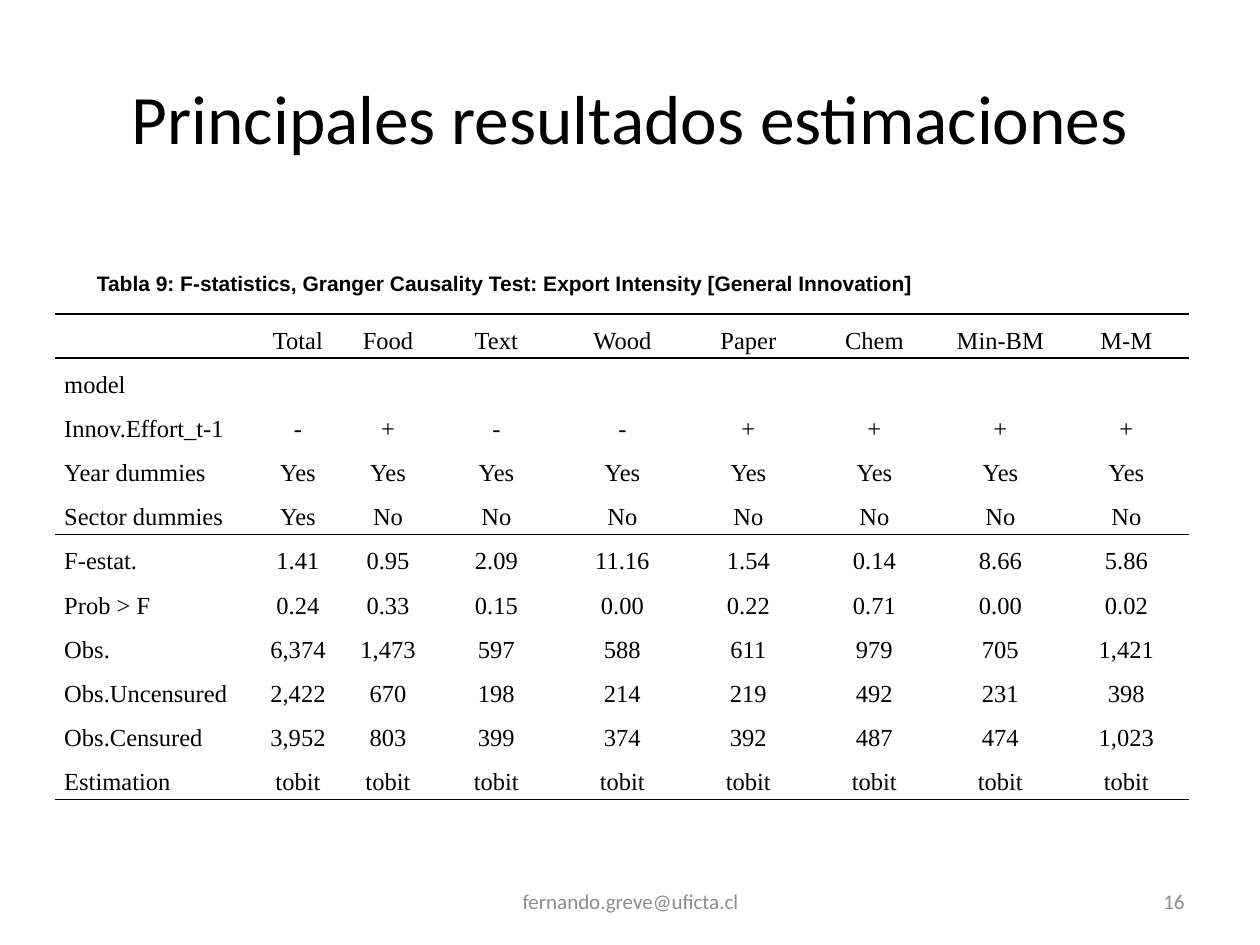
from dataclasses import dataclass

from lxml.etree import SubElement
from pptx import Presentation
from pptx.dml.color import RGBColor
from pptx.enum.text import MSO_ANCHOR as Anchor, MSO_AUTO_SIZE as AutoSize, PP_ALIGN as Align
from pptx.oxml.ns import qn
from pptx.util import Inches, Pt


@dataclass(frozen=True)
class Theme:
    ink: str = "000000"
    muted: str = "8C8C8C"
    heading_font: str = "Calibri"
    caption_font: str = "Arial"
    table_font: str = "Times New Roman"
    title_size: float = 39.6
    table_size: float = 14
    small_size: float = 12
    rule_width: float = 1


@dataclass(frozen=True)
class Label:
    text: str
    box: tuple[float, float, float, float]
    font: str
    color: str
    align: Align
    bold: bool = False
    wrap: bool = True


THEME = Theme()

LABELS = [
    Label("Tabla 9: F-statistics, Granger Causality Test: Export Intensity [General Innovation]",
          (0.67, 2.1, 6.75, 0.3), THEME.caption_font, THEME.ink, Align.JUSTIFY,
          bold=True, wrap=False),
    Label("16", (7.17, 6.95, 2.33, 0.4), THEME.heading_font, THEME.muted, Align.RIGHT),
    Label("fernando.greve@uficta.cl", (3.42, 6.95, 3.17, 0.4), THEME.heading_font,
          THEME.muted, Align.CENTER),
]

TABLE_BOX = (0.44, 2.49, 9, 3.85)
COLUMN_WIDTHS = [1.57, 0.71, 0.72] + [1] * 6
SECTORS = 8
ROWS = [
    ["", "Total", "Food", "Text", "Wood", "Paper", "Chem", "Min-BM", "M-M"],
    ["model"] + [""] * SECTORS,
    ["Innov.Effort_t-1", "-", "+", "-", "-", "+", "+", "+", "+"],
    ["Year dummies"] + ["Yes"] * SECTORS,
    ["Sector dummies", "Yes"] + ["No"] * (SECTORS - 1),
    ["F-estat.", "1.41", "0.95", "2.09", "11.16", "1.54", "0.14", "8.66", "5.86"],
    ["Prob > F", "0.24", "0.33", "0.15", "0.00", "0.22", "0.71", "0.00", "0.02"],
    ["Obs.", "6,374", "1,473", "597", "588", "611", "979", "705", "1,421"],
    ["Obs.Uncensured", "2,422", "670", "198", "214", "219", "492", "231", "398"],
    ["Obs.Censured", "3,952", "803", "399", "374", "392", "487", "474", "1,023"],
    ["Estimation"] + ["tobit"] * SECTORS,
]
# Rules lie above these row numbers; the last one closes the table
RULES = {0, 1, 5, len(ROWS)}


def write_text(frame, text: str, *, size: float, font: str, color: str = THEME.ink,
               align: Align = Align.CENTER, bold: bool = False,
               line_spacing: float | None = None) -> None:
    paragraph = frame.paragraphs[0]
    paragraph.alignment = align
    paragraph.line_spacing = line_spacing
    run = paragraph.add_run()
    run.text = text
    run.font.size = Pt(size)
    run.font.name = font
    run.font.bold = bold
    run.font.color.rgb = RGBColor.from_string(color)


def add_label(slide, label: Label) -> None:
    frame = slide.shapes.add_textbox(*map(Inches, label.box)).text_frame
    frame.word_wrap = label.wrap
    frame.vertical_anchor = Anchor.MIDDLE
    write_text(frame, label.text, size=THEME.small_size, font=label.font,
               color=label.color, align=label.align, bold=label.bold)


def set_borders(cell, top: bool, bottom: bool) -> None:
    properties = cell._tc.get_or_add_tcPr()
    for side, ruled in (("L", False), ("R", False), ("T", top), ("B", bottom)):
        line = SubElement(properties, qn(f"a:ln{side}"), w=str(Pt(THEME.rule_width)))
        if ruled:
            fill = SubElement(line, qn("a:solidFill"))
            SubElement(fill, qn("a:srgbClr"), val=THEME.ink)
        else:
            SubElement(line, qn("a:noFill"))


def add_results_table(slide) -> None:
    table = slide.shapes.add_table(len(ROWS), len(COLUMN_WIDTHS),
                                   *map(Inches, TABLE_BOX)).table
    table.first_row = table.horz_banding = False
    for column, width in zip(table.columns, COLUMN_WIDTHS):
        column.width = Inches(width)
    for row_number, values in enumerate(ROWS):
        table.rows[row_number].height = Inches(TABLE_BOX[3] / len(ROWS))
        for column_number, value in enumerate(values):
            cell = table.cell(row_number, column_number)
            cell.margin_left = cell.margin_right = Inches(0.07)
            cell.margin_top = cell.margin_bottom = 0
            set_borders(cell, row_number in RULES, row_number + 1 in RULES)
            cell.fill.background()
            if value:
                write_text(cell.text_frame, value, size=THEME.table_size,
                           font=THEME.table_font, line_spacing=1.5,
                           align=Align.CENTER if column_number else Align.JUSTIFY)


def main() -> None:
    presentation = Presentation()
    presentation.slide_width, presentation.slide_height = Inches(10), Inches(7.5)
    slide = presentation.slides.add_slide(presentation.slide_layouts.get_by_name("Title Only"))

    # Title
    title = slide.shapes.title
    title.left, title.top, title.width, title.height = map(Inches, (0.5, 0.3, 9, 1.25))
    title.text_frame.auto_size = AutoSize.NONE
    title.text_frame.vertical_anchor = Anchor.MIDDLE
    write_text(title.text_frame, "Principales resultados estimaciones",
               size=THEME.title_size, font=THEME.heading_font)

    # Caption, table and footer
    caption, *footer = LABELS
    add_label(slide, caption)
    add_results_table(slide)
    for label in footer:
        add_label(slide, label)

    presentation.save("out.pptx")


if __name__ == "__main__":
    main()
